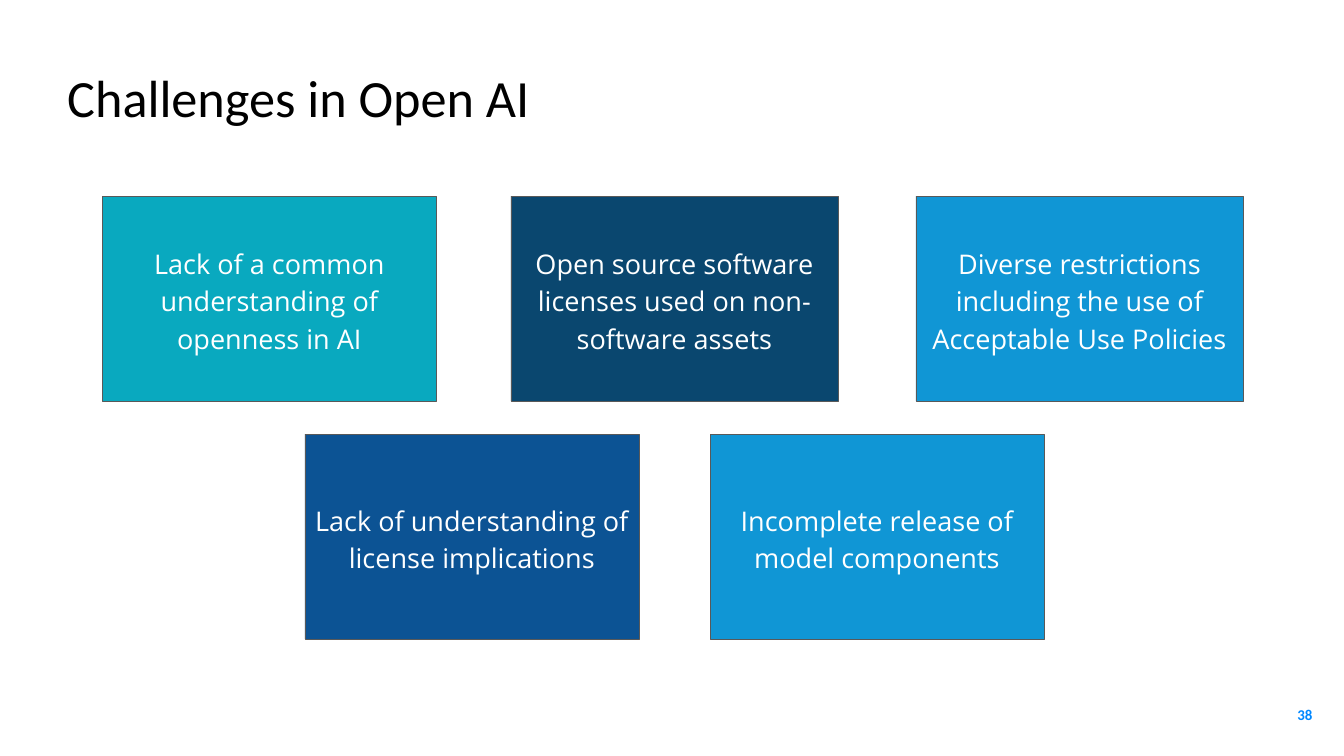
from pptx import Presentation
from pptx.dml.color import RGBColor
from pptx.enum.shapes import MSO_SHAPE
from pptx.enum.text import MSO_ANCHOR, MSO_AUTO_SIZE, PP_ALIGN
from pptx.util import Inches, Pt

RECT = MSO_SHAPE.RECTANGLE
TOP, MIDDLE = MSO_ANCHOR.TOP, MSO_ANCHOR.MIDDLE
LEFT, CENTER, RIGHT = PP_ALIGN.LEFT, PP_ALIGN.CENTER, PP_ALIGN.RIGHT

COLORS = {
    "black": "000000", "white": "FFFFFF", "edge": "595959",
    "number": "0088FF", "teal": "09A9BF", "navy": "0A476F",
    "sky": "1096D5", "blue": "0C5394",
}
COLS, ROWS = 100, 45


def color(name):
    return RGBColor.from_string(COLORS[name])


def write(frame, text, size, ink, font="Calibri", bold=False, align=LEFT,
          anchor=MIDDLE, inset=0, space=1):
    frame.word_wrap = True
    frame.auto_size = MSO_AUTO_SIZE.NONE
    frame.vertical_anchor = anchor
    frame.margin_left = frame.margin_right = Inches(inset)
    frame.margin_top = frame.margin_bottom = Inches(inset)
    frame.text = text
    para = frame.paragraphs[0]
    para.alignment = align
    para.line_spacing = space
    para.space_before = Pt(0)
    face = para.runs[0].font
    face.name, face.size, face.bold = font, Pt(size), bold
    face.color.rgb = color(ink)


class Deck:
    def __init__(self, wide, high):
        self.file = Presentation()
        self.file.slide_width = Inches(wide)
        self.file.slide_height = Inches(high)
        self.col = Inches(wide) / COLS
        self.row = Inches(high) / ROWS
        self.slide = self.file.slides.add_slide(self.file.slide_layouts[5])

    def area(self, x, y, w, h):
        return (round(x * self.col), round(y * self.row),
                round(w * self.col), round(h * self.row))

    def title(self, text, *place):
        shape = self.slide.shapes.title
        shape.left, shape.top, shape.width, shape.height = self.area(*place)
        write(shape.text_frame, text, 56, "black", anchor=TOP)

    def number(self, text, *place):
        box = self.slide.shapes.add_textbox(*self.area(*place))
        write(box.text_frame, text, 16, "number", bold=True, align=RIGHT,
              inset=0.2)

    def card(self, text, fill, *place):
        shape = self.slide.shapes.add_shape(RECT, *self.area(*place))
        shape.shadow.inherit = False
        shape.fill.solid()
        shape.fill.fore_color.rgb = color(fill)
        shape.line.color.rgb = color("edge")
        shape.line.width = Pt(0.75)
        write(shape.text_frame, text, 29, "white", font="Open Sans",
              align=CENTER, inset=0.1, space=1.15)


def main():
    deck = Deck(20, 11.25)
    deck.title("Challenges in Open AI", 5, 3.88, 93.2, 5)
    deck.number("38", 92.65, 40.8, 6, 3.44)

    # Five cards, centred half a step apart, alternating between two rows
    cards = [
        ("Lack of a common understanding of openness in AI", "teal", 24.85),
        ("Lack of understanding of license implications", "blue", 24.85),
        ("Open source software licenses used on non-software assets",
         "navy", 24.35),
        ("Incomplete release of model components", "sky", 24.85),
        ("Diverse restrictions including the use of Acceptable Use Policies",
         "sky", 24.35),
    ]
    tops = (11.68, 25.84)
    start, step, high = 20.05, 15.07, 12.2
    for i, (text, fill, wide) in enumerate(cards):
        mid = start + i * step
        deck.card(text, fill, mid - wide / 2, tops[i % 2], wide, high)

    deck.file.save("out.pptx")


if __name__ == "__main__":
    main()
